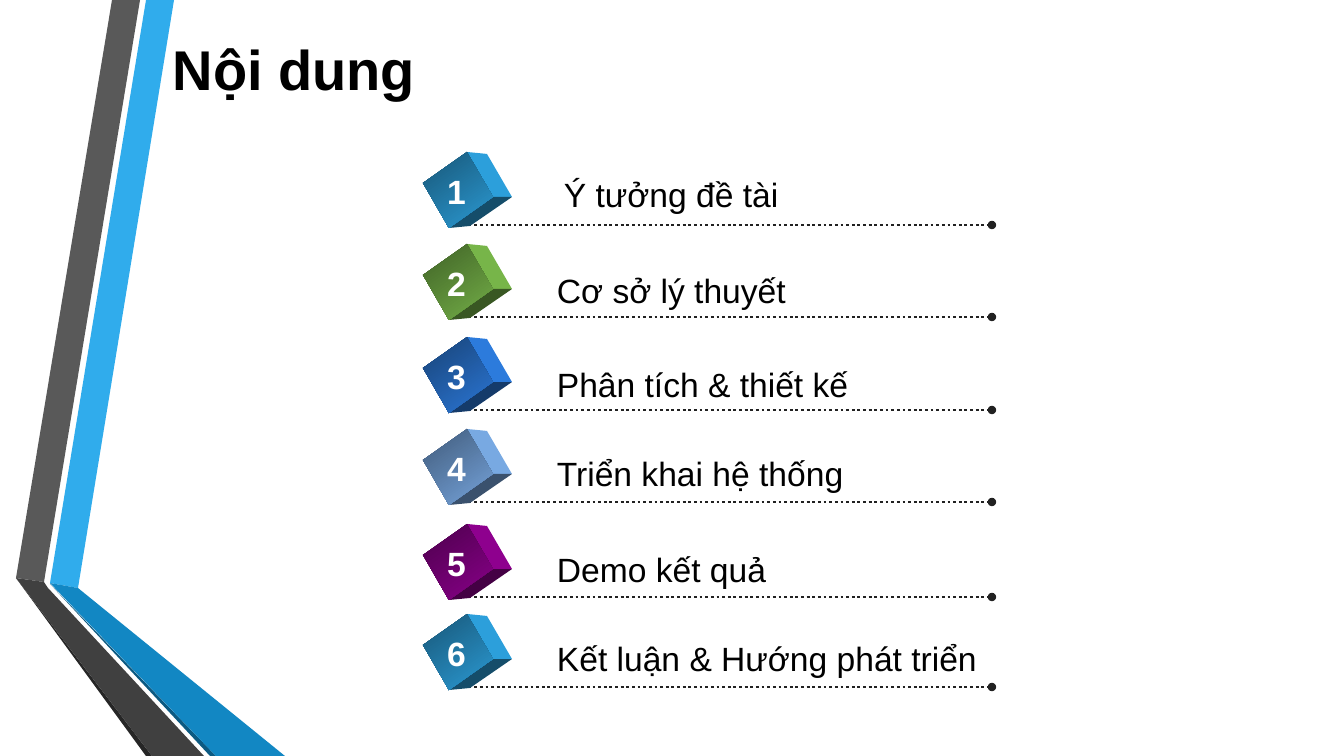
from lxml.etree import SubElement
from pptx import Presentation
from pptx.dml.color import RGBColor
from pptx.enum.dml import MSO_LINE
from pptx.enum.shapes import MSO_CONNECTOR
from pptx.enum.text import MSO_ANCHOR, PP_ALIGN
from pptx.oxml.ns import qn
from pptx.util import Pt

SCALE = 914400 / 100.8
BLACK = RGBColor(0x00, 0x00, 0x00)
WHITE = RGBColor(0xFF, 0xFF, 0xFF)
INK = RGBColor(0x21, 0x21, 0x21)
SKY = RGBColor(0x30, 0xAC, 0xEC)
GREEN = RGBColor(0x80, 0xC3, 0x4F)
BLUE = RGBColor(0x30, 0x85, 0xED)
PALE_BLUE = RGBColor(0x82, 0xB6, 0xF4)
PURPLE = RGBColor(0x99, 0x00, 0x99)
GRAY = RGBColor(0x59, 0x59, 0x59)
DARK_GRAY = RGBColor(0x40, 0x40, 0x40)
DEEP_GRAY = RGBColor(0x26, 0x26, 0x26)
DARK_SKY = RGBColor(0x12, 0x87, 0xC3)
DEEP_SKY = RGBColor(0x0C, 0x5A, 0x82)

deck = Presentation()
deck.slide_width = round(1344 * SCALE)
deck.slide_height = round(756 * SCALE)
page = deck.slides.add_slide(deck.slide_layouts[6])


def add_polygon(points, *colors):
    builder = page.shapes.build_freeform(*points[0], scale=SCALE)
    builder.add_line_segments(points[1:], close=True)
    polygon = builder.convert_to_shape()
    polygon.shadow.inherit = False
    polygon.line.fill.background()
    if len(colors) == 1:
        polygon.fill.solid()
        polygon.fill.fore_color.rgb = colors[0]
    else:
        polygon.fill.gradient()
        polygon.fill.gradient_angle = 305
        for stop, color in zip(polygon.fill.gradient_stops, colors):
            stop.color.rgb = color


def add_text(text, bounds, size, color, bold=False, align=PP_ALIGN.LEFT, wrap=False):
    box = page.shapes.add_textbox(*[round(value * SCALE) for value in bounds])
    box.text_frame.word_wrap = wrap
    box.text_frame.vertical_anchor = MSO_ANCHOR.MIDDLE if wrap else MSO_ANCHOR.TOP
    para = box.text_frame.paragraphs[0]
    para.text = text
    para.alignment = align
    para.font.name = "Arial"
    para.font.size = Pt(size)
    para.font.bold = bold
    para.font.color.rgb = color


ribbons = [
    ([(50, 583), (78, 588), (174, 0), (146, 0)], SKY),
    ([(140, 0), (112, 0), (16, 578), (44, 582)], GRAY),
    ([(16, 578), (146, 756), (152, 756)], DEEP_GRAY),
    ([(50, 584), (210, 756), (216, 756)], DEEP_SKY),
    ([(50, 583), (216, 756), (285, 756), (78, 588)], DARK_SKY),
    ([(204, 756), (48, 588), (44, 582), (16, 578), (152, 756)], DARK_GRAY),
]
for points, color in ribbons:
    add_polygon(points, color)

add_text("Nội dung", (163, 27, 1105, 83), 40, BLACK, bold=True, wrap=True)

items = [
    ("Ý tưởng đề tài", SKY, 225, 554, 169, 237),
    ("Cơ sở lý thuyết", GREEN, 317, 547, 265, 251),
    ("Phân tích & thiết kế", BLUE, 410, 547, 359, 314),
    ("Triển khai hệ thống", PALE_BLUE, 502, 547, 448, 309),
    ("Demo kết quả", PURPLE, 597, 547, 544, 232),
    ("Kết luận & Hướng phát triển", SKY, 687, 547, 633, 445),
]
for number, (label, color, line_y, left, top, width) in enumerate(items, 1):
    ends = [round(value * SCALE) for value in (463, line_y, 992, line_y)]
    rule = page.shapes.add_connector(MSO_CONNECTOR.STRAIGHT, *ends)
    rule.line.color.rgb = INK
    rule.line.width = Pt(2)
    rule.line.dash_style = MSO_LINE.ROUND_DOT
    SubElement(rule.line._get_or_add_ln(), qn("a:tailEnd"), type="oval")
    SubElement(rule._element.spPr, qn("a:effectLst"))

    cube_top = line_y - 73
    dark, shade, bright, side = [
        RGBColor(*[int(channel * factor) for channel in color])
        for factor in (0.45, 0.5, 0.9, 0.93)
    ]
    faces = [
        ([(44, 0), (64, 2), (89, 45), (70, 45)], [side]),
        ([(26, 76), (47, 74), (89, 45), (70, 45)], [dark]),
        ([(0, 31), (44, 0), (70, 45), (26, 76)], [shade, bright]),
    ]
    for face, colors in faces:
        add_polygon([(423 + x, cube_top + y) for x, y in face], *colors)

    add_text(str(number), (437, line_y - 59, 39, 50), 24, WHITE,
             bold=True, align=PP_ALIGN.CENTER)
    add_text(label, (left, top, width, 50), 24, BLACK)

deck.save("out.pptx")
